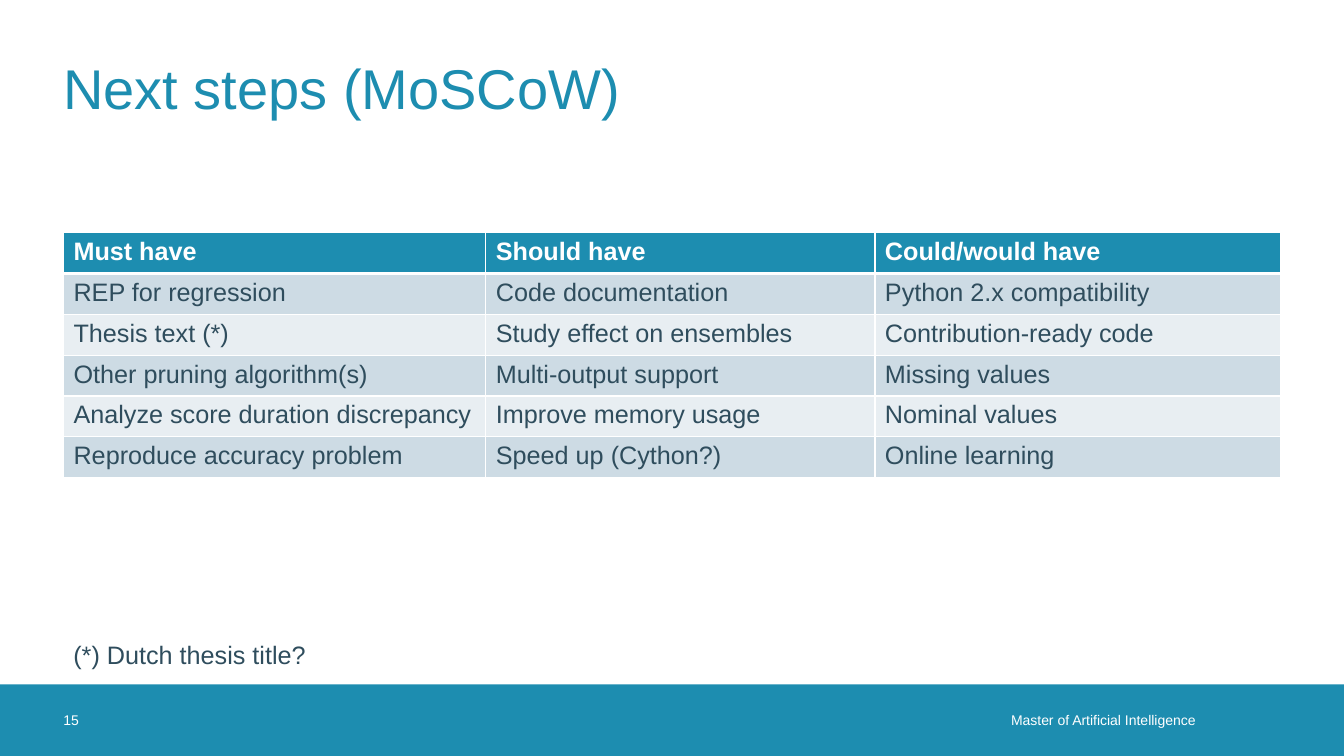
from typing import NamedTuple

from lxml.etree import SubElement
from pptx import Presentation
from pptx.dml.color import RGBColor
from pptx.enum.shapes import MSO_SHAPE as Preset
from pptx.enum.text import MSO_ANCHOR as Anchor, MSO_AUTO_SIZE as AutoSize, PP_ALIGN as Align
from pptx.oxml.ns import qn
from pptx.slide import Slide
from pptx.table import _Cell as Cell
from pptx.text.text import _Paragraph as Paragraph
from pptx.util import Emu, Inches, Pt

FONT = "Arial"
COLORS = {
    "accent": "1D8DB0",
    "ink": "2F4D5D",
    "white": "FFFFFF",
    "odd_row": "CDDBE4",
    "even_row": "E8EEF2",
}
SLIDE_COLUMNS, SLIDE_ROWS = 133.33, 75  # square grid units of a tenth of an inch
MARGIN, CONTENT_WIDTH = 6.3, 120.7
FOOTER_TOP, FOOTER_HEIGHT = 67.9, 7.1


class Area(NamedTuple):
    """A place on the grid, in columns and rows."""
    column: float
    row: float
    columns: float
    rows: float


class Label(NamedTuple):
    text: str
    area: Area
    size: float
    color: str
    align: Align = Align.LEFT
    right_inset: float = 0


class Priority(NamedTuple):
    """One column of the MoSCoW table."""
    heading: str
    columns: float
    steps: tuple[str, ...]


LABELS = (
    Label("Master of Artificial Intelligence", Area(66, FOOTER_TOP, 54.6, FOOTER_HEIGHT),
          10, "white", Align.RIGHT, 2),
    Label("15", Area(MARGIN, FOOTER_TOP, 7.1, FOOTER_HEIGHT), 10, "white"),
    Label("Next steps (MoSCoW)", Area(MARGIN, 2.3, CONTENT_WIDTH, 12.6), 40, "accent"),
)
FOOTNOTE = Label("(*) Dutch thesis title?", Area(MARGIN, 62.9, 25.3, 4), 18, "ink")
PRIORITIES = (
    Priority("Must have", 41.9, (
        "REP for regression", "Thesis text (*)", "Other pruning algorithm(s)",
        "Analyze score duration discrepancy", "Reproduce accuracy problem")),
    Priority("Should have", 38.6, (
        "Code documentation", "Study effect on ensembles", "Multi-output support",
        "Improve memory usage", "Speed up (Cython?)")),
    Priority("Could/would have", 40.2, (
        "Python 2.x compatibility", "Contribution-ready code", "Missing values",
        "Nominal values", "Online learning")),
)
TABLE_AREA = Area(MARGIN, 23.1, CONTENT_WIDTH, 24.3)


def grid(units: float) -> Emu:
    return Inches(units / 10)


def place(area: Area) -> tuple[Emu, ...]:
    return tuple(grid(units) for units in area)


def rgb(color: str) -> RGBColor:
    return RGBColor.from_string(COLORS[color])


def style(paragraph: Paragraph, size: float, color: str, bold: bool = False) -> None:
    font = paragraph.font
    font.name, font.size, font.bold = FONT, Pt(size), bold
    font.color.rgb = rgb(color)


def add_footer_band(slide: Slide) -> None:
    area = Area(0, FOOTER_TOP, SLIDE_COLUMNS, FOOTER_HEIGHT)
    band = slide.shapes.add_shape(Preset.RECTANGLE, *place(area))
    band.shadow.inherit = False
    band.fill.solid()
    band.fill.fore_color.rgb = rgb("accent")
    band.line.fill.background()


def add_label(slide: Slide, label: Label) -> None:
    """Add text that fills its area, centred vertically."""
    frame = slide.shapes.add_textbox(*place(label.area)).text_frame
    frame.word_wrap = True
    frame.vertical_anchor = Anchor.MIDDLE
    frame.margin_left = frame.margin_top = frame.margin_bottom = 0
    frame.margin_right = grid(label.right_inset)
    paragraph = frame.paragraphs[0]
    paragraph.text, paragraph.alignment = label.text, label.align
    style(paragraph, label.size, label.color)


def add_footnote(slide: Slide, note: Label) -> None:
    """Add text whose box grows with it."""
    frame = slide.shapes.add_textbox(*place(note.area)).text_frame
    frame.word_wrap = False
    frame.auto_size = AutoSize.SHAPE_TO_FIT_TEXT
    frame.paragraphs[0].text = note.text
    style(frame.paragraphs[0], note.size, note.color)


def add_borders(cell: Cell, top: float, bottom: float) -> None:
    properties = cell._tc.get_or_add_tcPr()
    sides = {"a:lnL": 1, "a:lnR": 1, "a:lnT": top, "a:lnB": bottom}
    for position, (side, width) in enumerate(sides.items()):
        border = SubElement(properties, qn(side), w=str(Pt(width)))
        fill = SubElement(border, qn("a:solidFill"))
        SubElement(fill, qn("a:srgbClr"), val=COLORS["white"])
        properties.insert(position, border)  # borders precede the cell's fill


def fill_cell(cell: Cell, text: str, row: int) -> None:
    is_heading = row == 0
    background = "accent" if is_heading else "odd_row" if row % 2 else "even_row"
    cell.fill.solid()
    cell.fill.fore_color.rgb = rgb(background)
    paragraph = cell.text_frame.paragraphs[0]
    paragraph.text = text
    style(paragraph, 18, "white" if is_heading else "ink", is_heading)
    add_borders(cell, top=3 if row == 1 else 1, bottom=3 if is_heading else 1)


def add_priorities(slide: Slide) -> None:
    row_count = 1 + len(PRIORITIES[0].steps)
    table = slide.shapes.add_table(row_count, len(PRIORITIES), *place(TABLE_AREA)).table
    for column, priority in enumerate(PRIORITIES):
        table.columns[column].width = grid(priority.columns)
        for row, text in enumerate((priority.heading, *priority.steps)):
            fill_cell(table.cell(row, column), text, row)


def main() -> None:
    deck = Presentation()
    deck.slide_width, deck.slide_height = grid(SLIDE_COLUMNS), grid(SLIDE_ROWS)
    slide = deck.slides.add_slide(deck.slide_layouts[6])
    add_footer_band(slide)
    for label in LABELS:
        add_label(slide, label)
    add_priorities(slide)
    add_footnote(slide, FOOTNOTE)
    deck.save("out.pptx")


if __name__ == "__main__":
    main()
